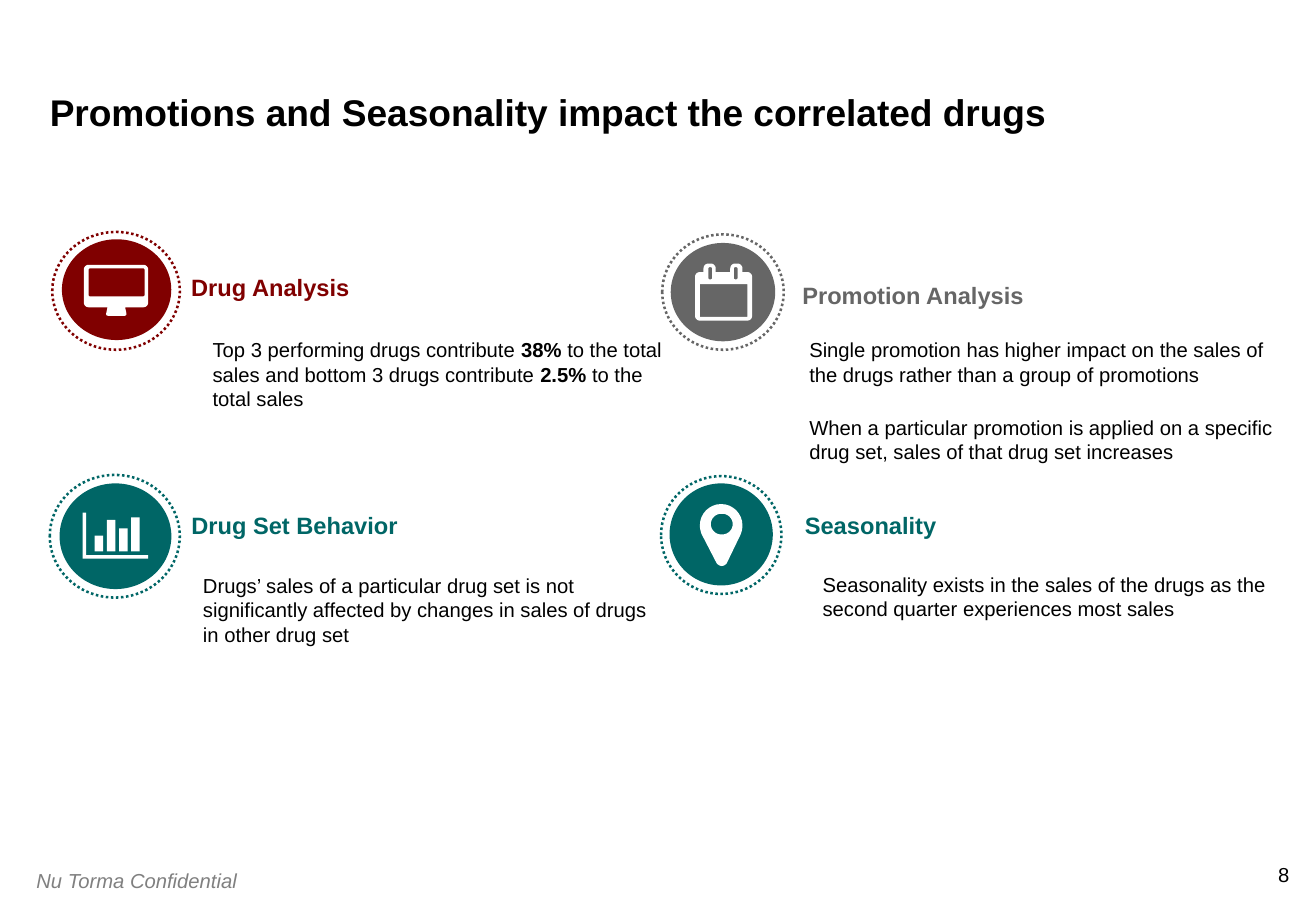
"""Build the slide on promotions, seasonality and correlated drugs."""
from dataclasses import dataclass

from pptx import Presentation
from pptx import util as u
from pptx.dml import color as c
from pptx.enum import dml, shapes, text

COLS, ROWS = 1083, 750
CELL = u.Inches(10.83) // COLS
FINE = 20
HUES = {"black": "000000", "white": "FFFFFF", "gray": "808080",
        "red": "800000", "slate": "666666", "teal": "006666"}
Box = tuple[int, int, int, int]
Point = tuple[float, float]
Bend = tuple[float, float, float]


@dataclass
class Label:
    """Text in a box; parts between bars are bold, paragraphs are a list."""
    box: Box
    lines: list[str]
    hue: str = "black"
    size: int = 12
    bold: bool = False
    slant: bool = False
    wrap: bool = True
    align: text.PP_ALIGN = text.PP_ALIGN.LEFT
    anchor: text.MSO_ANCHOR = text.MSO_ANCHOR.TOP


@dataclass
class Topic:
    """A badge with its icon, heading and body text."""
    hue: str
    disc: Box
    ring: Box
    icon: list[list[Bend]]
    title: str
    head: Box
    lines: list[str]
    body: Box


def tint(name: str) -> c.RGBColor:
    """Look up a named colour."""
    return c.RGBColor.from_string(HUES[name])


def place(box: Box) -> list[int]:
    """Turn grid cells into slide lengths."""
    return [n * CELL for n in box]


def format(item: object, values: dict) -> None:
    """Set each value on the item."""
    for key, value in values.items():
        setattr(item, key, value)


def panel(left: float, top: float, right: float, low: float, bend: float = 0) -> list[Bend]:
    """Give the corners of a box with one corner radius."""
    return [(left, top, bend), (right, top, bend), (right, low, bend), (left, low, bend)]


def toward(start: Point, end: Point, dist: float) -> Point:
    """Find the point at a distance from start on the way to end."""
    dx, dy = end[0] - start[0], end[1] - start[1]
    part = dist / (dx * dx + dy * dy) ** 0.5
    return start[0] + dx * part, start[1] + dy * part


def smooth(bends: list[Bend], steps: int = 8) -> list[Point]:
    """Trace an outline with its corners rounded."""
    dots = []
    for i, (x, y, bend) in enumerate(bends):
        if not bend:
            dots.append((x, y))
            continue
        sides = bends[i - 1][:2], bends[(i + 1) % len(bends)][:2]
        a, d = (toward((x, y), side, bend) for side in sides)
        b, e = (toward((x, y), side, bend * 0.45) for side in sides)
        for t in (n / steps for n in range(steps + 1)):
            s = 1 - t
            dots.append(tuple(s**3 * a[k] + 3 * s * s * t * b[k]
                              + 3 * s * t * t * e[k] + t**3 * d[k] for k in (0, 1)))
    return dots


def draw_icon(slide, icon: list[list[Bend]]) -> None:
    """Draw all outlines of an icon as one white shape."""
    loops = [[(x * FINE, y * FINE) for x, y in smooth(bends)] for bends in icon]
    pen = slide.shapes.build_freeform(*loops[0][0], scale=CELL / FINE)
    for i, loop in enumerate(loops):
        if i:
            pen.move_to(*loop[0])
        pen.add_line_segments(loop[1:], close=True)
    shape = pen.convert_to_shape()
    shape.shadow.inherit = False
    shape.fill.solid()
    shape.fill.fore_color.rgb = tint("white")
    shape.line.fill.background()


def draw_oval(slide, box: Box, hue: str, ring: bool) -> None:
    """Draw a filled disc or a dotted ring."""
    oval = slide.shapes.add_shape(shapes.MSO_SHAPE.OVAL, *place(box))
    oval.shadow.inherit = False
    if ring:
        oval.fill.background()
        oval.line.color.rgb = tint(hue)
        format(oval.line, {"width": u.Pt(1.5), "dash_style": dml.MSO_LINE.ROUND_DOT})
    else:
        oval.fill.solid()
        oval.fill.fore_color.rgb = tint(hue)
        oval.line.fill.background()


def draw_label(slide, label: Label) -> None:
    """Draw a text box without margins."""
    frame = slide.shapes.add_textbox(*place(label.box)).text_frame
    format(frame, {"margin_left": 0, "margin_top": 0, "margin_right": 0, "margin_bottom": 0,
                   "word_wrap": label.wrap, "vertical_anchor": label.anchor})
    for i, line in enumerate(label.lines):
        para = frame.add_paragraph() if i else frame.paragraphs[0]
        para.alignment = label.align
        if i:
            para.space_before = u.Pt(17)
        for j, part in enumerate(line.split("|")):
            run = para.add_run()
            run.text = part
            format(run.font, {"name": "Arial", "size": u.Pt(label.size),
                              "bold": label.bold or j % 2 == 1, "italic": label.slant})
            run.font.color.rgb = tint(label.hue)


def draw_topic(slide, topic: Topic) -> None:
    """Draw a badge and its two texts."""
    draw_oval(slide, topic.disc, topic.hue, ring=False)
    draw_oval(slide, topic.ring, topic.hue, ring=True)
    draw_icon(slide, topic.icon)
    draw_label(slide, Label(topic.body, topic.lines))
    draw_label(slide, Label(topic.head, [topic.title], topic.hue, 14, bold=True, wrap=False,
                            align=text.PP_ALIGN.CENTER, anchor=text.MSO_ANCHOR.MIDDLE))


SCREEN = [
    [(69, 218, 4), (122, 218, 4), (122, 253, 4), (103, 253, 0),
     (104.5, 260, 2), (87, 260, 2), (88.5, 253, 0), (69, 253, 4)],
    panel(73, 221, 119, 244, 1)]
DATES = [
    [(572, 224, 4), (579, 224, 0), (579, 217, 4), (589, 217, 4), (589, 224, 0), (601, 224, 0),
     (601, 217, 4), (611, 217, 4), (611, 224, 0), (619, 224, 4), (619, 264, 4), (572, 264, 4)],
    panel(576, 234, 615, 261), *(panel(x, 220, x + 3, 230, 1) for x in (583, 604))]
BARS = [
    [(68, 422, 0), (71, 422, 0), (71, 457, 0), (122, 457, 0), (122, 460, 0), (68, 460, 0)],
    *(panel(78 + 10 * i, top, 85 + 10 * i, 454) for i, top in enumerate((441, 428, 435, 426)))]
PIN = [
    [(576, 415, 17.4), (611, 415, 17.4), (611, 437, 4),
     (597, 466, 3), (591, 466, 3), (576, 437, 4)],
    panel(585, 423, 603, 440, 8.5)]

TOPICS = [
    Topic("slate", (552, 200, 86, 81), (545, 193, 100, 95), DATES,
          "Promotion Analysis", (660, 231, 183, 24),
          ["Single promotion has higher impact on the sales of the drugs rather than "
           "a group of promotions",
           "When a particular promotion is applied on a specific drug set, "
           "sales of that drug set increases"], (666, 278, 382, 148)),
    Topic("red", (51, 197, 90, 83), (43, 191, 105, 97), SCREEN,
          "Drug Analysis", (157, 224, 131, 24),
          ["Top 3 performing drugs contribute |38% |to the total sales and "
           "bottom 3 drugs contribute |2.5% |to the total sales"], (175, 278, 382, 61)),
    Topic("teal", (49, 398, 92, 87), (41, 391, 107, 101), BARS,
          "Drug Set Behavior", (157, 420, 171, 24),
          ["Drugs’ sales of a particular drug set is not significantly affected by "
           "changes in sales of drugs in other drug set"], (167, 472, 382, 61)),
    Topic("teal", (551, 398, 85, 84), (544, 392, 99, 97), PIN,
          "Seasonality", (662, 420, 109, 24),
          ["Seasonality exists in the sales of the drugs as the second quarter "
           "experiences most sales"], (677, 471, 382, 40)),
]
LABELS = [
    Label((1040, 710, 21, 20), ["8"], wrap=False, align=text.PP_ALIGN.RIGHT),
    Label((30, 715, 180, 20), ["Nu Torma Confidential"], "gray", slant=True),
    Label((41, 80, 983, 30), ["Promotions and Seasonality impact the correlated drugs"],
          size=22, bold=True, anchor=text.MSO_ANCHOR.BOTTOM),
]


def main() -> None:
    """Build and save the slide."""
    deck = Presentation()
    format(deck, {"slide_width": COLS * CELL, "slide_height": ROWS * CELL})
    slide = deck.slides.add_slide(deck.slide_layouts[6])
    for topic in TOPICS:
        draw_topic(slide, topic)
    for label in LABELS:
        draw_label(slide, label)
    deck.save("out.pptx")


if __name__ == "__main__":
    main()
